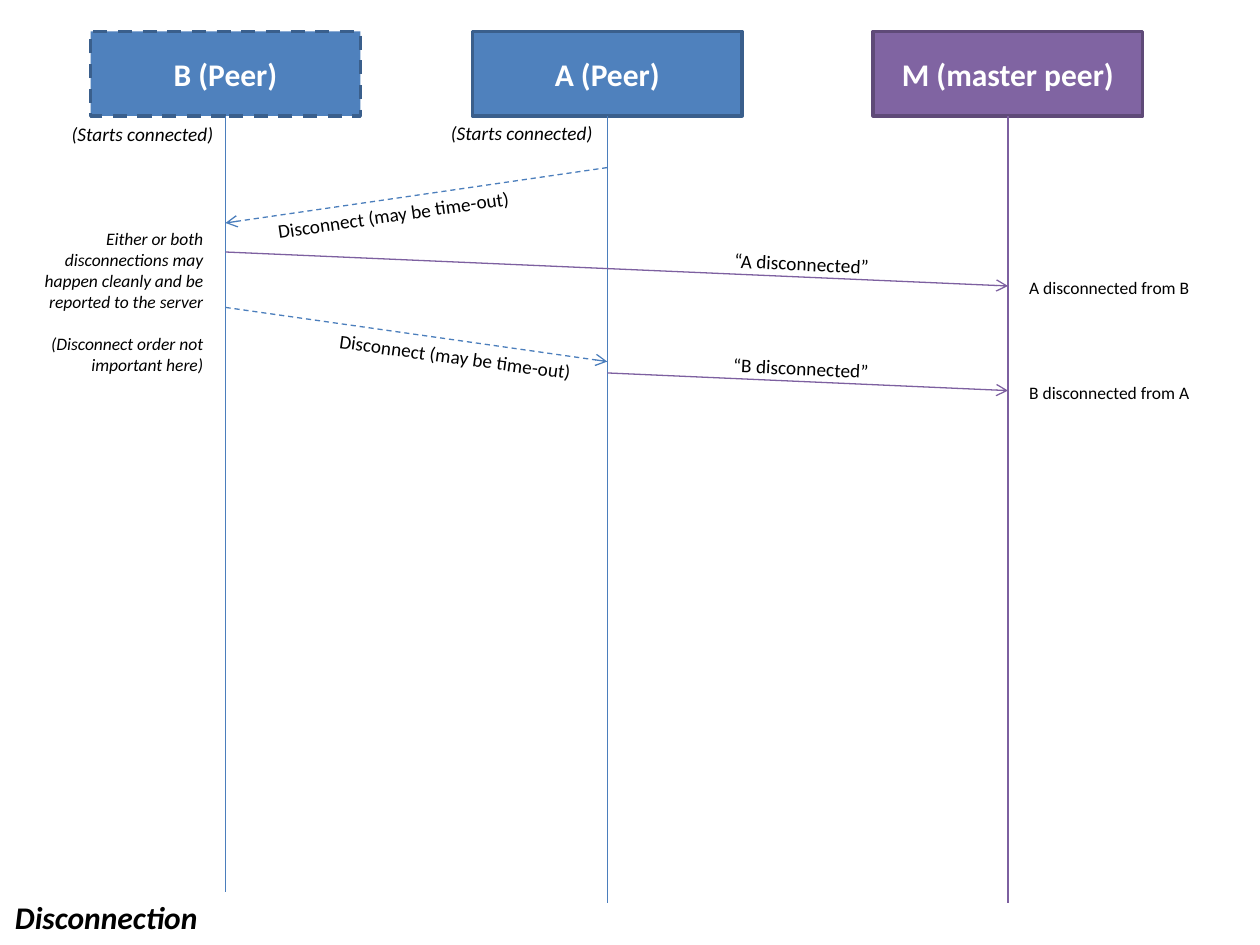
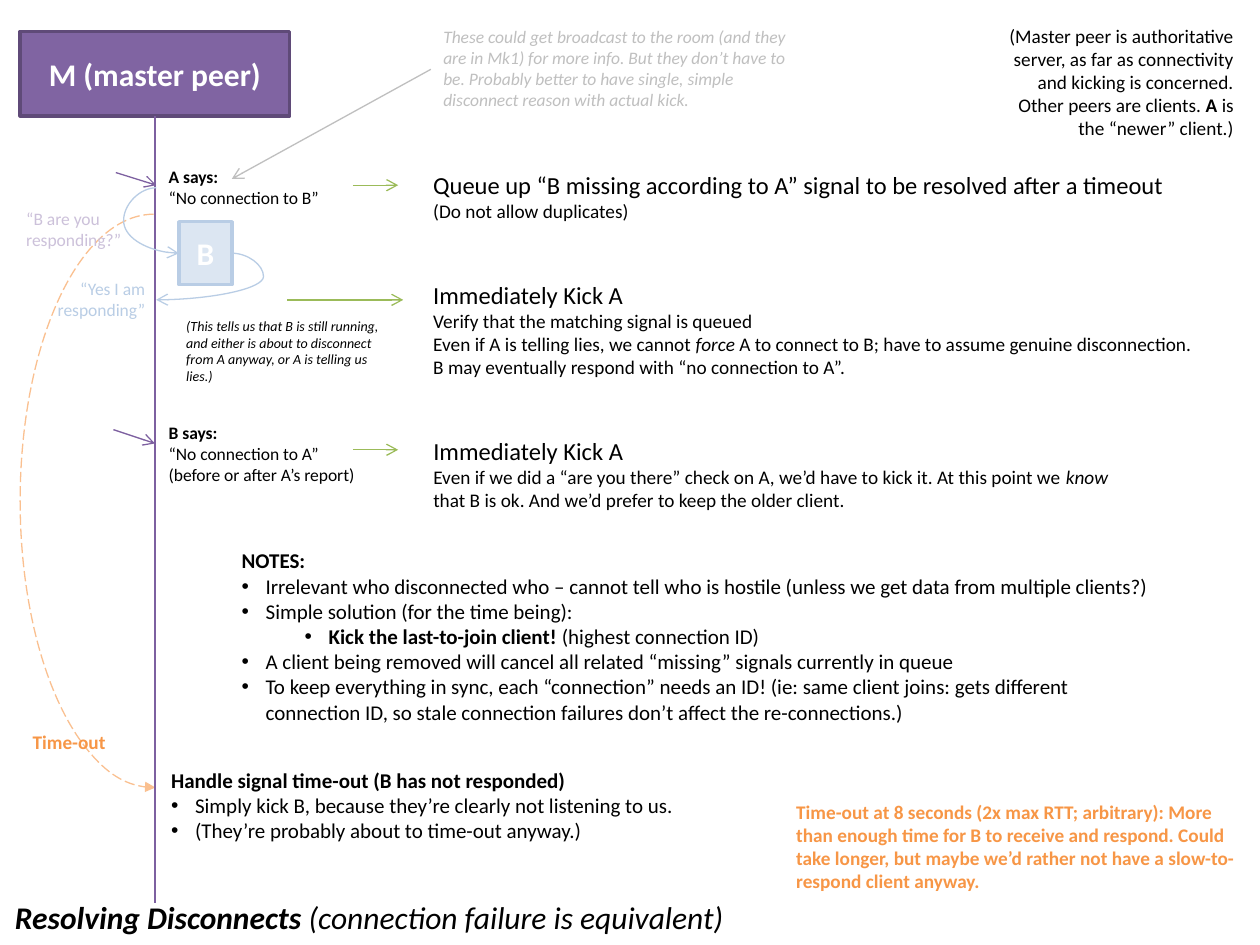
from lxml.etree import SubElement
from pptx import Presentation
from pptx.dml.color import RGBColor
from pptx.enum.dml import MSO_LINE
from pptx.enum.shapes import MSO_CONNECTOR, MSO_SHAPE
from pptx.enum.text import MSO_ANCHOR, MSO_AUTO_SIZE, PP_ALIGN
from pptx.oxml.ns import qn
from pptx.util import Inches, Pt

BLACK, WHITE = "000000", "FFFFFF"
BLUE, BLUE_EDGE, BLUE_LINE = "4F81BD", "3A5F8C", "4B7EBC"
PURPLE, PURPLE_EDGE, PURPLE_LINE = "8064A2", "5F4A78", "7D60A0"
PALE_BLUE, PALE_BLUE_EDGE, PALE_PURPLE = "DCE6F2", "B9CDE5", "CCC1DA"
GREEN, GREY, ORANGE, PALE_ORANGE = "9BBB59", "BFBFBF", "F79646", "FAC090"

FONT = "Calibri"
BOX_W, BOX_H, BOX_TOP = 2.14, 0.67, 0.25
BOX_BOTTOM = BOX_TOP + BOX_H
BULLET_INDENT = 0.19


def rgb(hex_color):
    return RGBColor.from_string(hex_color)


def para(*runs, bullet=None, before=0, **fmt):
    """Describe a paragraph; a run is a string or (string, format), bullet is a level."""
    return {"runs": runs, "bullet": bullet, "before": before, "fmt": fmt}


class Deck:
    """Holds the presentation, its style and the slide being drawn."""

    def __init__(self):
        self.prs = Presentation()
        self.prs.slide_width, self.prs.slide_height = Inches(10), Inches(7.5)
        self.s = None

    def new_slide(self):
        self.s = self.prs.slides.add_slide(self.prs.slide_layouts[6])

    def style_line(self, line, color, width=0.75, dash=None, tail=None):
        line.color.rgb = rgb(color)
        line.width = Pt(width)
        if dash:
            line.dash_style = dash
        if tail:
            SubElement(line._get_or_add_ln(), qn("a:tailEnd"), type=tail)

    def fill_text(self, tf, paras, align=PP_ALIGN.LEFT, **base):
        for i, item in enumerate(paras):
            item = item if isinstance(item, dict) else para(item)
            p = tf.paragraphs[0] if i == 0 else tf.add_paragraph()
            p.alignment = align
            p.space_before = Pt(item["before"])
            if item["bullet"] is not None:
                self.bullet(p, item["bullet"])
            for run in item["runs"]:
                text, fmt = run if isinstance(run, tuple) else (run, {})
                r = p.add_run()
                r.text = text
                self.format_font(r.font, {**base, **item["fmt"], **fmt})

    def format_font(self, font, fmt):
        values = {"name": FONT, "size": 11, "color": BLACK, **fmt}
        font.color.rgb = rgb(values.pop("color"))
        values["size"] = Pt(values["size"])
        for name, value in values.items():
            setattr(font, name, value)

    def bullet(self, p, level):
        p.level = level
        pPr = p._p.get_or_add_pPr()
        pPr.set("marL", str(Inches(BULLET_INDENT + 0.5 * level)))
        pPr.set("indent", str(-Inches(BULLET_INDENT)))
        SubElement(pPr, qn("a:buFont"), typeface="Arial")
        SubElement(pPr, qn("a:buChar"), char="•")

    def text(self, x, y, w, h, *paras, wrap=True, rotation=0, **fmt):
        sp = self.s.shapes.add_textbox(Inches(x), Inches(y), Inches(w), Inches(h))
        sp.rotation = rotation
        tf = sp.text_frame
        tf.word_wrap = wrap
        tf.auto_size = MSO_AUTO_SIZE.SHAPE_TO_FIT_TEXT
        self.fill_text(tf, paras, **fmt)

    def title(self, width, *runs):
        self.text(0.02, 7.08, width, 0.4, para(*runs), wrap=False, size=18, italic=True)

    def box(self, x, y, w, h, label, fill, edge, dash=None):
        sp = self.s.shapes.add_shape(MSO_SHAPE.RECTANGLE, Inches(x), Inches(y), Inches(w), Inches(h))
        sp.shadow.inherit = False
        sp.fill.solid()
        sp.fill.fore_color.rgb = rgb(fill)
        self.style_line(sp.line, edge, 2, dash)
        sp.text_frame.vertical_anchor = MSO_ANCHOR.MIDDLE
        self.fill_text(sp.text_frame, [label], PP_ALIGN.CENTER, size=18, bold=True, color=WHITE)
        return sp

    def peer(self, x, label, fill, edge, line_color, line_end=7.17, dash=None):
        """Draw a peer's header box and the lifeline below it."""
        sp = self.box(x, BOX_TOP, BOX_W, BOX_H, label, fill, edge, dash)
        center = x + BOX_W / 2
        lifeline = self.line((center, BOX_BOTTOM), (center, line_end), line_color)
        lifeline.begin_connect(sp, 2)

    def master_peer(self, x):
        self.peer(x, "M (master peer)", PURPLE, PURPLE_EDGE, PURPLE_LINE)

    def line(self, start, end, color, kind=MSO_CONNECTOR.STRAIGHT, **style):
        points = [Inches(v) for v in (*start, *end)]
        cxn = self.s.shapes.add_connector(kind, *points)
        self.style_line(cxn.line, color, **style)
        SubElement(cxn._element.spPr, qn("a:effectLst"))
        return cxn

    def arrow(self, start, end, color, dash=None):
        self.line(start, end, color, dash=dash, tail="arrow")

    def curved_arrow(self, start, end, color, bend):
        """Draw a curve whose bend is a share of its width, negative for outside."""
        cxn = self.line(start, end, color, MSO_CONNECTOR.CURVE, tail="arrow")
        geom = cxn._element.spPr.find(qn("a:prstGeom"))
        av = geom.find(qn("a:avLst"))
        if av is None:
            av = SubElement(geom, qn("a:avLst"))
        SubElement(av, qn("a:gd"), name="adj1", fmla=f"val {round(bend * 100000)}")

    def left_arc(self, x, y, w, h, color):
        """Draw the left half of an ellipse, with the arrowhead at the bottom."""
        sp = self.s.shapes.add_shape(MSO_SHAPE.ARC, Inches(x), Inches(y), Inches(w), Inches(h))
        sp.shadow.inherit = False
        sp.fill.background()
        sp.adjustments[0], sp.adjustments[1] = 162, 54.21
        sp._element.spPr.find(qn("a:xfrm")).set("flipH", "1")
        self.style_line(sp.line, color, dash=MSO_LINE.LONG_DASH, tail="triangle")


def disconnection(d):
    d.new_slide()
    b_x, a_x, m_x = 1.79, 4.82, 8
    d.peer(3.75, "A (Peer)", BLUE, BLUE_EDGE, BLUE_LINE)
    d.peer(0.72, "B (Peer)", BLUE, BLUE_EDGE, BLUE_LINE, 7.08, MSO_LINE.DASH)
    d.master_peer(6.93)
    d.title(1.68, ("Disconnection", {"bold": True}))

    for x, y in ((0.47, 0.92), (3.48, 0.91)):
        d.text(x, y, 1.35, 0.29, "(Starts connected)", wrap=False, italic=True)

    for start, end, x, y, angle in (
        ((a_x, 1.33), (b_x, 1.77), 2.1, 1.56, 351.7),
        ((b_x, 2.44), (a_x, 2.87), 2.59, 2.69, 7.8),
    ):
        d.arrow(start, end, BLUE_LINE, MSO_LINE.DASH)
        d.text(x, y, 2.06, 0.29, "Disconnect (may be time-out)", wrap=False, rotation=angle)

    for gone, other, start, end_y, x, y, report_y in (
        ("A", "B", (b_x, 2), 2.27, 5.73, 1.95, 2.15),
        ("B", "A", (a_x, 2.96), 3.1, 5.72, 2.78, 2.98),
    ):
        d.arrow(start, (m_x, end_y), PURPLE_LINE)
        d.text(x, y, 1.29, 0.29, f"“{gone} disconnected”", wrap=False, rotation=2.7)
        d.text(8.07, report_y, 1.57, 0.27, f"{gone} disconnected from {other}", size=10)

    d.text(0.14, 1.76, 1.57, 1.28,
           "Either or both disconnections may happen cleanly and be reported to the server",
           para("(Disconnect order not important here)", before=12.2),
           align=PP_ALIGN.RIGHT, size=10, italic=True)


def resolving_disconnects(d):
    bold, italic = {"bold": True}, {"italic": True}
    d.new_slide()
    d.left_arc(0.16, 1.7, 2.12, 4.55, PALE_ORANGE)
    d.master_peer(0.16)

    # Reports that reach the master peer
    d.arrow((0.9, 3.41), (1.23, 3.52), PURPLE_LINE)
    d.arrow((0.92, 1.37), (1.24, 1.47), PURPLE_LINE)
    d.text(1.24, 1.27, 1.57, 0.44, para("A says:", **bold), "“No connection to B”", size=10)
    d.text(1.24, 3.3, 1.87, 0.61, para("B says:", **bold), "“No connection to A”",
           "(before or after A’s report)", size=10)

    # Check that B still responds
    d.box(1.42, 1.76, 0.42, 0.5, "B", PALE_BLUE, PALE_BLUE_EDGE)
    d.curved_arrow((1.24, 1.49), (1.42, 2.01), PALE_BLUE_EDGE, -1.44)
    d.curved_arrow((1.84, 2.01), (1.24, 2.38), PALE_BLUE_EDGE, -0.42)
    d.text(0.28, 2.16, 0.97, 0.44, "“Yes I am responding”",
           align=PP_ALIGN.RIGHT, size=10, color=PALE_BLUE_EDGE)
    d.text(0.11, 1.6, 1.08, 0.44, "“B are you responding?”", size=10, color=PALE_PURPLE)
    d.text(1.38, 2.47, 1.8, 0.64,
           "(This tells us that B is still running, and either is about to disconnect "
           "from A anyway, or A is telling us lies.)", size=8, italic=True)

    # Actions that follow
    for x, end_x, y in ((2.28, 3.2, 2.38), (2.8, 3.16, 1.47), (2.8, 3.16, 3.57)):
        d.arrow((x, y), (end_x, y), GREEN)
    kick = "Immediately Kick A"
    for y, w, h, heading, *details in (
        (1.3, 6.17, 0.52,
         "Queue up “B missing according to A” signal to be resolved after a timeout",
         "(Do not allow duplicates)"),
        (2.17, 6.33, 0.89, kick,
         "Verify that the matching signal is queued",
         para("Even if A is telling lies, we cannot ", ("force ", italic),
              "A to connect to B; have to assume genuine disconnection."),
         "B may eventually respond with “no connection to A”."),
        (3.41, 5.58, 0.71, kick,
         para("Even if we did a “are you there” check on A, we’d have to kick it. "
              "At this point we ", ("know", italic),
              " that B is ok. And we’d prefer to keep the older client.")),
    ):
        d.text(3.34, y, w, h, para(heading, size=14), *details)

    d.text(1.82, 4.3, 7.5, 1.51,
           para("NOTES:", **bold),
           para("Irrelevant who disconnected who – cannot tell who is hostile "
                "(unless we get data from multiple clients?)", bullet=0),
           para("Simple solution (for the time being):", bullet=0),
           para(("Kick the last-to-join client!", bold), " (highest connection ID)", bullet=1),
           para("A client being removed will cancel all related “missing” signals "
                "currently in queue", bullet=0),
           para("To keep everything in sync, each “connection” needs an ID! (ie: same client "
                "joins: gets different connection ID, so stale connection failures don’t "
                "affect the re-connections.)", bullet=0),
           size=12)

    # Time-out
    d.text(0.16, 5.75, 0.79, 0.29, "Time-out", wrap=False, color=ORANGE, **bold)
    d.text(1.26, 6.04, 4.96, 0.71,
           para("Handle signal time-out (B has not responded)", **bold),
           para("Simply kick B, because they’re clearly not listening to us.", bullet=0),
           para("(They’re probably about to time-out anyway.)", bullet=0),
           size=12)
    d.title(5.88, ("Resolving Disconnects", bold), " (connection failure is equivalent)")
    d.text(6.22, 6.3, 3.68, 0.84,
           "Time-out at 8 seconds (2x max RTT; arbitrary): More than enough time for B to "
           "receive and respond. Could take longer, but maybe we’d rather not have a "
           "slow-to-respond client anyway.", color=ORANGE, **bold)

    # Remarks at the top
    d.text(7.91, 0.14, 1.98, 1.03,
           para("(Master peer is authoritative server, as far as connectivity and kicking is "
                "concerned. Other peers are clients. ", ("A", bold),
                " is the “newer” client.)"), align=PP_ALIGN.RIGHT)
    d.arrow((3.42, 0.55), (1.84, 1.42), GREY)
    d.text(3.42, 0.16, 3, 0.77,
           "These could get broadcast to the room (and they are in Mk1) for more info. But "
           "they don’t have to be. Probably better to have single, simple disconnect reason "
           "with actual kick.", size=10, color=GREY, **italic)


def main():
    d = Deck()
    disconnection(d)
    resolving_disconnects(d)
    d.prs.save("out.pptx")


if __name__ == "__main__":
    main()
